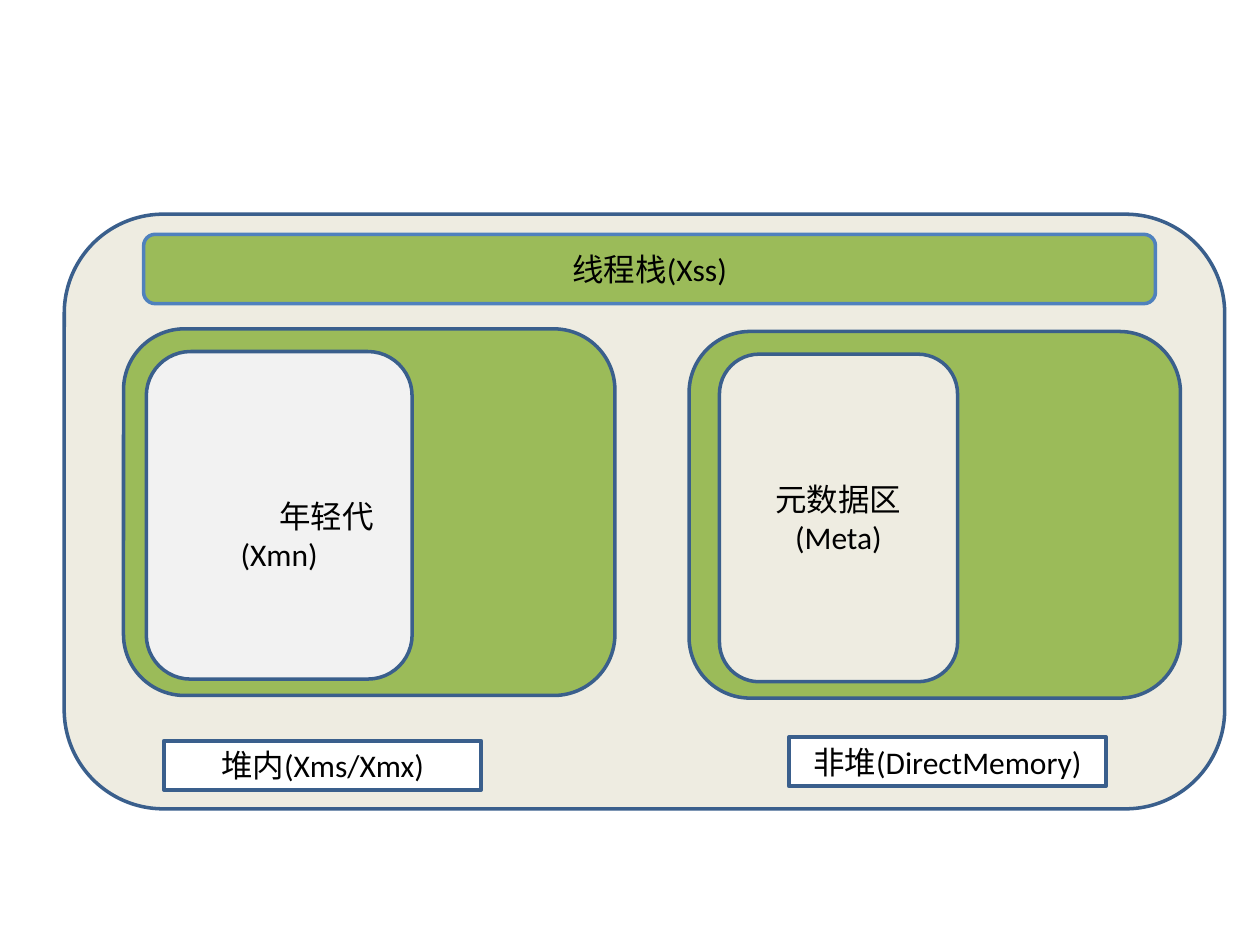
import pptx
import pptx.dml.color
import pptx.enum.shapes
import pptx.enum.text
import pptx.util

Pt = pptx.util.Pt
ROUNDED = pptx.enum.shapes.MSO_SHAPE.ROUNDED_RECTANGLE
RECTANGLE = pptx.enum.shapes.MSO_SHAPE.RECTANGLE
BEIGE, GREEN, GREY, WHITE = "EEECE1", "9BBB59", "F2F2F2", "FFFFFF"
NAVY, BLUE, BLACK = "3A5F8C", "4F81BD", "000000"


def paint(color_format, color):
    """Give a color format the RGB value of a hex string."""
    color_format.rgb = pptx.dml.color.RGBColor.from_string(color)


def add_panel(slide, box, fill, label="", outline=NAVY, geometry=ROUNDED):
    """Add an outlined panel with an optional centred label."""
    panel = slide.shapes.add_shape(geometry, *(Pt(length) for length in box))
    panel.shadow.inherit = False
    panel.fill.solid()
    paint(panel.fill.fore_color, fill)
    paint(panel.line.color, outline)
    panel.line.width = Pt(2)
    if label:
        frame = panel.text_frame
        frame.word_wrap = True
        frame.vertical_anchor = pptx.enum.text.MSO_ANCHOR.MIDDLE
        frame.text = label
        paragraph = frame.paragraphs[0]
        paragraph.alignment = pptx.enum.text.PP_ALIGN.CENTER
        font = paragraph.runs[0].font
        font.name = "Calibri"
        font.size = Pt(18)
        paint(font.color, BLACK)
    return panel


def add_process(slide, box):
    """Draw the process memory with the thread stack along its top."""
    left, top, width, height = box
    add_panel(slide, box, BEIGE)
    add_panel(slide, (left + 45.4, top + 11.5, 578.2, 39.6), GREEN, "线程栈(Xss)", BLUE)


def add_memory_area(slide, box, area, generation, inset, inner_width, inner_fill, caption):
    """Draw a memory area, its inner generation and the caption below; return the generation."""
    left, top, width, height = box
    add_panel(slide, box, GREEN)
    caption_left, caption_top = caption
    add_panel(slide, (left + caption_left, top + caption_top, 181.4, 28.1),
              WHITE, area, geometry=RECTANGLE)
    return add_panel(slide, (left + inset, top + 13, inner_width, 187.2),
                     inner_fill, generation)


def lower_and_indent(panel, drop, indent):
    """Push a label down and indent its first line."""
    panel.text_frame.margin_top += Pt(drop)
    properties = panel.text_frame.paragraphs[0]._p.get_or_add_pPr()
    properties.set("marL", "0")
    properties.set("indent", str(Pt(indent)))


def main():
    """Build the memory layout slide."""
    deck = pptx.Presentation()
    deck.slide_width, deck.slide_height = Pt(720), Pt(540)
    slide = deck.slides.add_slide(deck.slide_layouts[6])
    add_process(slide, (36.7, 122.4, 663.1, 339.8))
    young = add_memory_area(slide, (70.6, 187.9, 280.8, 209.5), "堆内(Xms/Xmx)",
                            "年轻代(Xmn)", 13, 151.9, GREY, (23, 235.4))
    lower_and_indent(young, 22, 54)
    add_memory_area(slide, (393.8, 189.4, 280.8, 209.5), "非堆(DirectMemory)",
                    "元数据区(Meta)", 17.3, 136.1, BEIGE, (56.9, 231.8))
    deck.save("out.pptx")


if __name__ == "__main__":
    main()
